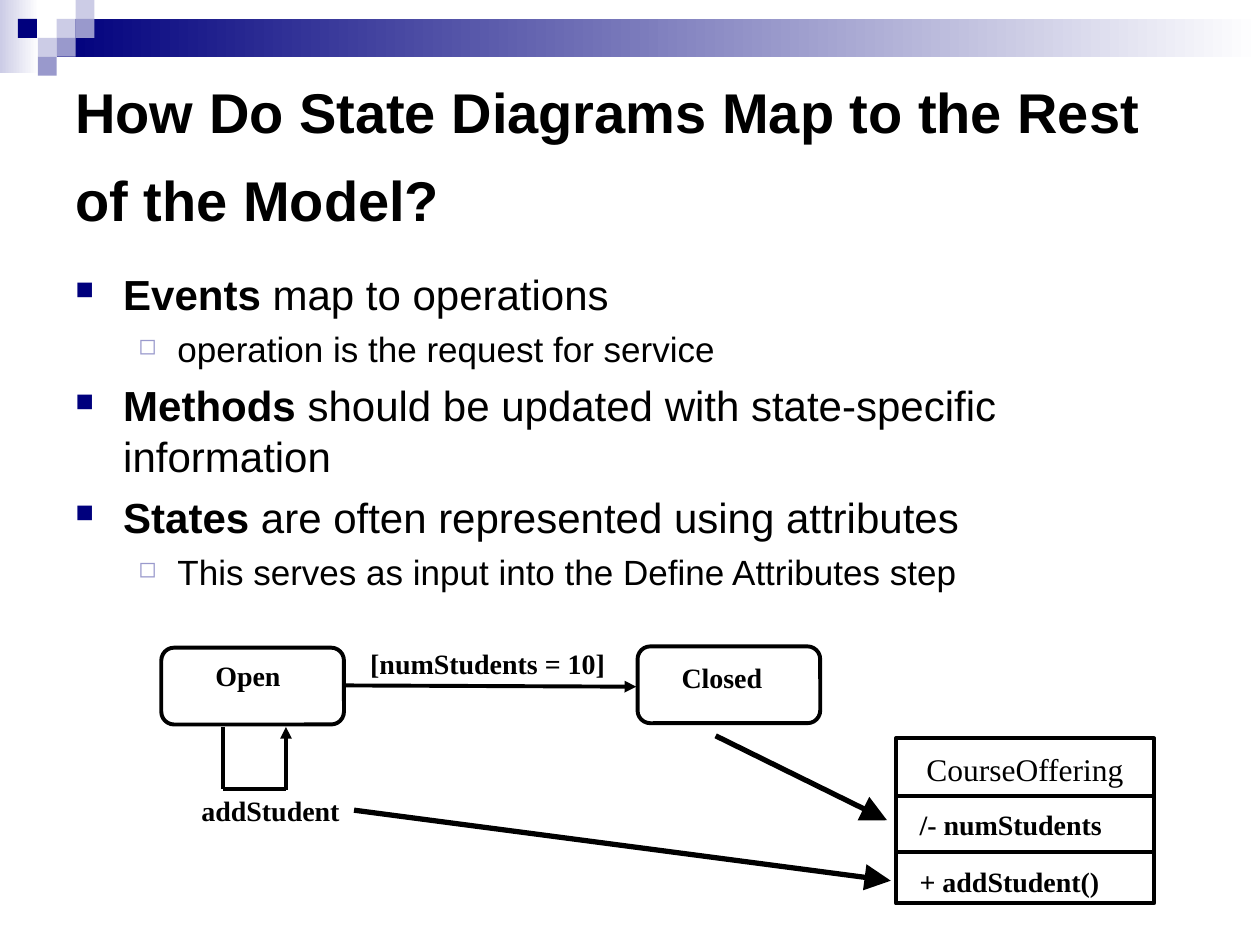
from typing import NamedTuple

from lxml.etree import SubElement
from pptx import Presentation
from pptx.dml.color import RGBColor
from pptx.enum.shapes import MSO_CONNECTOR, MSO_SHAPE
from pptx.enum.text import MSO_ANCHOR, MSO_AUTO_SIZE, PP_ALIGN
from pptx.oxml.ns import qn
from pptx.util import Inches, Pt

# The slide is a grid of 100 columns by 75 rows
WIDTH, HEIGHT = Inches(10), Inches(7.5)
COLUMN, ROW = WIDTH / 100, HEIGHT / 75
NAVY, LILAC, PALE, WHITE, BLACK = "00007D", "9999CC", "CCCCE6", "FFFFFF", "000000"
SANS, SERIF = "Arial", "Times New Roman"


class Area(NamedTuple):
    left: float
    top: float
    width: float
    height: float


class Label(NamedTuple):
    text: str
    area: Area
    inset: bool = True
    size: int = 16
    bold: bool = True
    align: PP_ALIGN = PP_ALIGN.LEFT


class Line(NamedTuple):
    start: tuple[float, float]
    end: tuple[float, float]
    arrow: str = ""
    weight: float = 2.25


class Level(NamedTuple):
    size: int
    margin: float
    hanging: float
    before: int
    bullet: str
    bullet_color: str
    bullet_percent: int


class Item(NamedTuple):
    level: int
    strong: str
    plain: str


LEVELS = [Level(24, 0.38, 0.38, 6, "■", NAVY, 60),
          Level(20, 0.81, 0.31, 5, "◻", LILAC, 64)]

ITEMS = [
    Item(0, "Events", " map to operations"),
    Item(1, "", "operation is the request for service"),
    Item(0, "Methods", " should be updated with state-specific information"),
    Item(0, "States", " are often represented using attributes"),
    Item(1, "", "This serves as input into the Define Attributes step"),
]

# Corner pattern: column and row of each small square, and its colour
SQUARE = 1.5
CORNER_SQUARES = [(3, 1, PALE), (4, 0, PALE), (4, 1, LILAC), (2, 2, PALE),
                  (0.95, 1, NAVY), (3, 2, LILAC), (2, 3, LILAC)]

STATES = [Area(12.8, 51.4, 14.5, 6.1), Area(50.6, 51.3, 14.5, 6.1)]
CLASS_BOX = Area(71.1, 58.6, 20.5, 13.1)

LABELS = [
    Label("Open", Area(17.1, 52.3, 5.2, 2.7), inset=False),
    Label("Closed", Area(54.1, 52.4, 6.4, 2.7), inset=False),
    Label("addStudent", Area(15, 62.5, 12.9, 3.7)),
    Label("[numStudents = 10]", Area(28.4, 50.8, 20.6, 3.7)),
    Label("CourseOffering", Area(73.5, 59.5, 15.7, 3), False, 18, False, PP_ALIGN.CENTER),
    Label("/- numStudents", Area(72, 63.6, 16.4, 3.7)),
    Label("+ addStudent()", Area(72, 68.1, 16.2, 3.7)),
]

LINES = [
    Line((27.2, 54.4), (50.5, 54.5), arrow="med"),
    # Loop below the open state
    Line((17.7, 57.7), (17.7, 62.6)),
    Line((17.7, 62.6), (22.7, 62.6)),
    Line((22.7, 62.7), (22.7, 57.7), arrow="med"),
    # Dividers of the class box
    Line((71.1, 63.2), (91.6, 63.2)),
    Line((71.1, 67.6), (91.6, 67.6)),
    # Mapping to the class
    Line((28.1, 64.3), (70.7, 69.9), arrow="lg", weight=3),
    Line((56.8, 58.4), (70.4, 65.1), arrow="lg", weight=3),
]


def rgb(color: str) -> RGBColor:
    return RGBColor.from_string(color)


def place(area: Area) -> tuple[int, int, int, int]:
    return (round(area.left * COLUMN), round(area.top * ROW),
            round(area.width * COLUMN), round(area.height * ROW))


def add_box(slide, area: Area, *, kind=MSO_SHAPE.RECTANGLE, fill=None, fade_from=None, line=None):
    shape = slide.shapes.add_shape(kind, *place(area))
    shape.shadow.inherit = False
    if fade_from:
        shape.fill.gradient()
        shape.fill.gradient_angle = 0
        for stop, color in zip(shape.fill.gradient_stops, (fade_from, WHITE)):
            stop.color.rgb = rgb(color)
    elif fill:
        shape.fill.solid()
        shape.fill.fore_color.rgb = rgb(fill)
    else:
        shape.fill.background()
    if line:
        shape.line.color.rgb = rgb(line)
        shape.line.width = Pt(2.25)
    else:
        shape.line.fill.background()
    return shape


def add_line(slide, line: Line) -> None:
    ends = [round(value * unit) for point in (line.start, line.end)
            for value, unit in zip(point, (COLUMN, ROW))]
    connector = slide.shapes.add_connector(MSO_CONNECTOR.STRAIGHT, *ends)
    connector.line.color.rgb = rgb(BLACK)
    connector.line.width = Pt(line.weight)
    if line.arrow:
        SubElement(connector.line._get_or_add_ln(), qn("a:tailEnd"),
                   type="triangle", w=line.arrow, len=line.arrow)
    SubElement(connector._element.spPr, qn("a:effectLst"))


def add_frame(slide, area: Area, *, wrap=True, inset=True, anchor=MSO_ANCHOR.TOP):
    frame = slide.shapes.add_textbox(*place(area)).text_frame
    frame.word_wrap = wrap
    frame.vertical_anchor = anchor
    frame.auto_size = MSO_AUTO_SIZE.NONE if wrap else MSO_AUTO_SIZE.SHAPE_TO_FIT_TEXT
    if not wrap:
        frame.margin_right = 0  # leaves one-line labels room to stay on their line
    if not inset:
        frame.margin_left = frame.margin_top = frame.margin_bottom = 0
    return frame


def add_text(paragraph, text: str, *, size: float, font=SANS, bold=False, color=BLACK) -> None:
    run = paragraph.add_run()
    run.text = text
    run.font.size = Pt(size)
    run.font.name = font
    run.font.bold = bold
    run.font.color.rgb = rgb(color)


def add_bullet(paragraph, level: Level) -> None:
    properties = paragraph._p.get_or_add_pPr()
    properties.set("marL", str(Inches(level.margin)))
    properties.set("indent", str(-Inches(level.hanging)))
    color = SubElement(properties, qn("a:buClr"))
    SubElement(color, qn("a:srgbClr"), val=level.bullet_color)
    SubElement(properties, qn("a:buSzPct"), val=str(level.bullet_percent * 1000))
    SubElement(properties, qn("a:buChar"), char=level.bullet)


def add_items(slide, area: Area, items: list[Item]) -> None:
    frame = add_frame(slide, area)
    for index, item in enumerate(items):
        paragraph = frame.add_paragraph() if index else frame.paragraphs[0]
        level = LEVELS[item.level]
        add_bullet(paragraph, level)
        paragraph.level = item.level
        paragraph.space_before = Pt(level.before if index else 0)
        if item.strong:
            add_text(paragraph, item.strong, size=level.size, bold=True)
        add_text(paragraph, item.plain, size=level.size)


def main() -> None:
    presentation = Presentation()
    presentation.slide_width, presentation.slide_height = WIDTH, HEIGHT
    slide = presentation.slides.add_slide(presentation.slide_layouts[6])

    # Header band
    add_box(slide, Area(0, 0, 3.1, 5.8), fade_from=PALE)
    add_box(slide, Area(4.5, 1.5, 95.5, 3), fade_from=NAVY)
    for column, row, color in CORNER_SQUARES:
        add_box(slide, Area(column * SQUARE, row * SQUARE, SQUARE, SQUARE), fill=color)

    # Title and bullets
    title = add_frame(slide, Area(5, 4, 90, 15), anchor=MSO_ANCHOR.MIDDLE).paragraphs[0]
    title.line_spacing = Pt(50.3)
    add_text(title, "How Do State Diagrams Map to the Rest of the Model?", size=32, bold=True)
    add_items(slide, Area(5, 20.8, 90, 29.2), ITEMS)

    # State diagram and class box
    for state in STATES:
        add_box(slide, state, kind=MSO_SHAPE.ROUNDED_RECTANGLE, line=BLACK)
    add_box(slide, CLASS_BOX, line=BLACK)
    for line in LINES:
        add_line(slide, line)
    for label in LABELS:
        paragraph = add_frame(slide, label.area, wrap=False, inset=label.inset).paragraphs[0]
        paragraph.alignment = label.align
        add_text(paragraph, label.text, size=label.size, font=SERIF, bold=label.bold)

    presentation.save("out.pptx")


if __name__ == "__main__":
    main()
